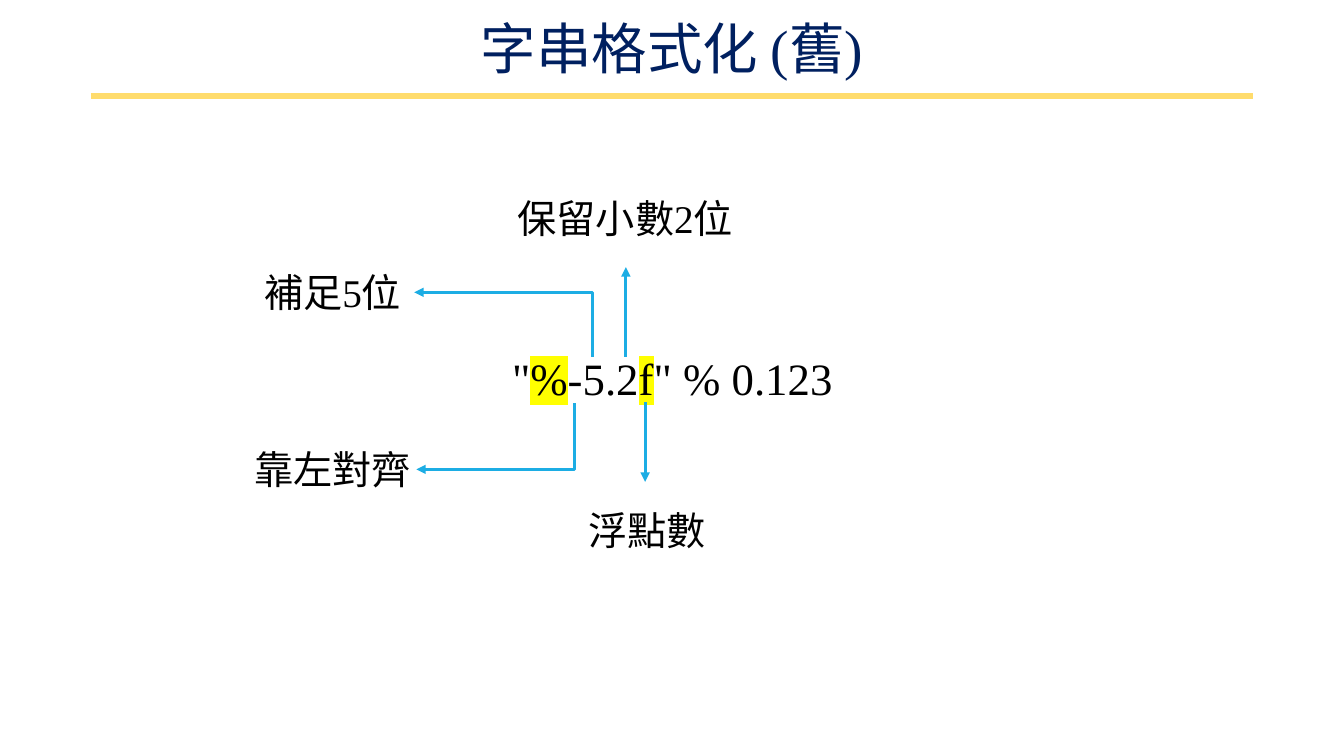
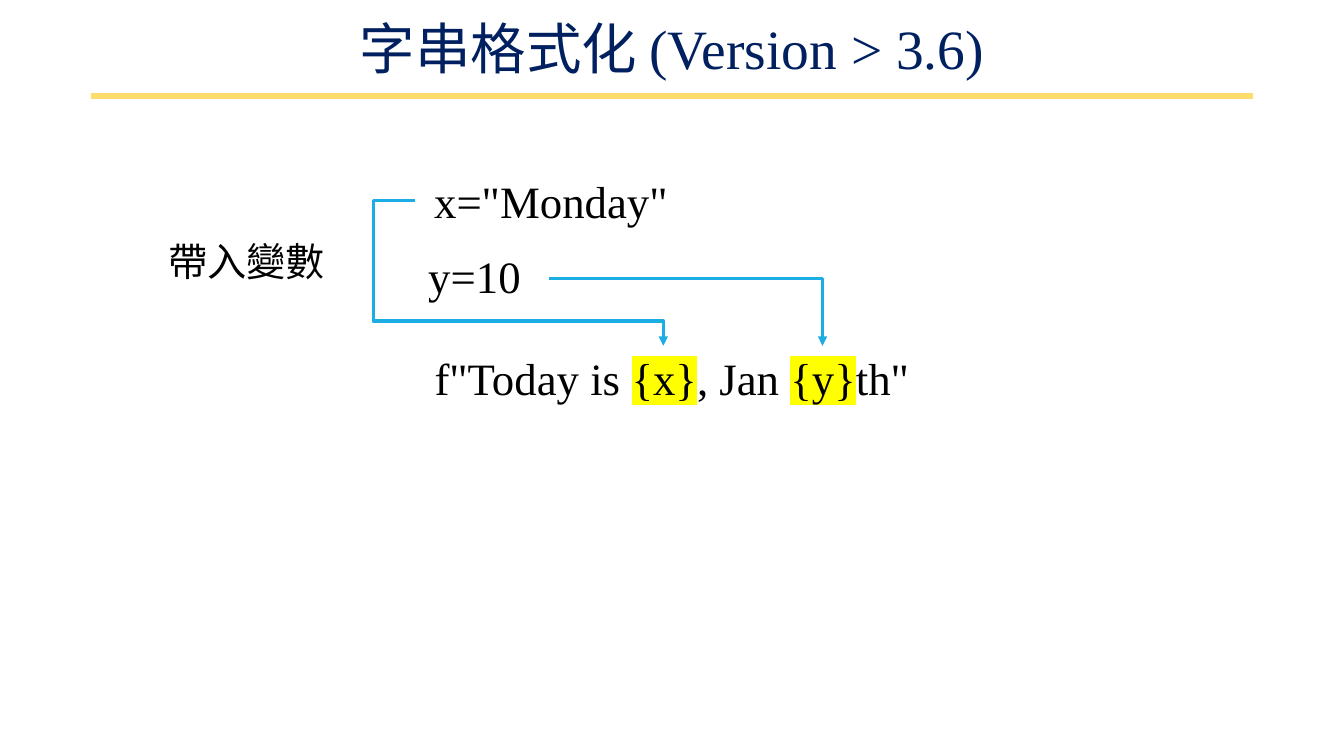
from lxml import etree
from pptx import Presentation
from pptx.dml.color import RGBColor
from pptx.enum.shapes import MSO_CONNECTOR
from pptx.enum.text import MSO_ANCHOR, MSO_AUTO_SIZE, PP_ALIGN
from pptx.oxml.ns import qn
from pptx.util import Pt

STRAIGHT, ELBOW = MSO_CONNECTOR.STRAIGHT, MSO_CONNECTOR.ELBOW
LEFT, CENTER = PP_ALIGN.LEFT, PP_ALIGN.CENTER
MIDDLE = MSO_ANCHOR.MIDDLE
NO_AUTOFIT, GROW = MSO_AUTO_SIZE.NONE, MSO_AUTO_SIZE.SHAPE_TO_FIT_TEXT

FONT = "Times New Roman"
NAVY, GOLD, BLUE, BLACK, YELLOW = "002060", "FFDC6D", "1CADE4", "000000", "FFFF00"
TITLE_SIZE, CODE_SIZE, LABEL_SIZE = 39.6, 32, 28
CODE_HEIGHT, LABEL_HEIGHT = 46, 41
CODE_TOP = 247


def color(value):
    return RGBColor.from_string(value)


class Deck:
    def __init__(self):
        self.presentation = Presentation()
        self.presentation.slide_width = Pt(960)
        self.presentation.slide_height = Pt(540)
        self.slide = None

    def add_slide(self, title):
        layout = self.presentation.slide_layouts[5]
        self.slide = self.presentation.slides.add_slide(layout)
        self.line((65, 68.4), (895, 68.4), GOLD, 4.5)
        shape = self.slide.shapes.title
        shape.left, shape.top, shape.width, shape.height = Pt(66), Pt(13), Pt(828), Pt(47.5)
        frame = shape.text_frame
        frame.text = title
        frame.auto_size = NO_AUTOFIT
        frame.vertical_anchor = MIDDLE
        paragraph = frame.paragraphs[0]
        paragraph.line_spacing = 0.9
        self.style(paragraph, TITLE_SIZE, NAVY, CENTER)

    def style(self, paragraph, size, text_color, alignment):
        paragraph.alignment = alignment
        paragraph.font.name = FONT
        paragraph.font.size = Pt(size)
        paragraph.font.color.rgb = color(text_color)

    def text(self, parts, left, top, width, height, size, alignment, marked=()):
        shape = self.slide.shapes.add_textbox(Pt(left), Pt(top), Pt(width), Pt(height))
        frame = shape.text_frame
        frame.word_wrap = True
        frame.auto_size = GROW
        paragraph = frame.paragraphs[0]
        self.style(paragraph, size, BLACK, alignment)
        for part in parts:
            run = paragraph.add_run()
            run.text = part
            if part in marked:
                properties = run._r.get_or_add_rPr()
                highlight = etree.SubElement(properties, qn("a:highlight"))
                etree.SubElement(highlight, qn("a:srgbClr"), val=YELLOW)

    def code(self, parts, left, top, width, alignment=LEFT, marked=()):
        self.text(parts, left, top, width, CODE_HEIGHT, CODE_SIZE, alignment, marked)

    def label(self, words, left, top, width=158.4):
        self.text([words], left, top, width, LABEL_HEIGHT, LABEL_SIZE, CENTER)

    def line(self, start, end, line_color=BLUE, width=2.25, arrow=None, kind=STRAIGHT):
        connector = self.slide.shapes.add_connector(kind, *map(Pt, start + end))
        connector.line.color.rgb = color(line_color)
        connector.line.width = Pt(width)
        if arrow:
            etree.SubElement(connector.line._ln, qn(f"a:{arrow}End"), type="triangle")
        etree.SubElement(connector._element.spPr, qn("a:effectLst"))
        return connector

    def arrow(self, start, end):
        self.line(start, end, arrow="tail")

    def bent_arrow(self, start, end, arrow="tail", bends=()):
        connector = self.line(start, end, arrow=arrow, kind=ELBOW)
        geometry = connector._element.spPr.find(qn("a:prstGeom"))
        geometry.set("prst", f"bentConnector{len(bends) + 2}")
        adjustments = geometry.find(qn("a:avLst"))
        for number, bend in enumerate(bends, 1):
            etree.SubElement(adjustments, qn("a:gd"), name=f"adj{number}",
                             fmla=f"val {round(bend * 100000)}")


def add_percent_format(deck):
    deck.add_slide("字串格式化 (舊)")
    deck.code(['"', "%", "-5.2", "f", '" % 0.123'], 165.6, CODE_TOP, 629.3, CENTER, ("%", "f"))
    deck.arrow((460.8, 287.3), (460.8, 344.2))
    deck.label("浮點數", 383, 357.8)
    deck.arrow((447.1, 254.9), (447.1, 190.8))
    deck.label("保留小數2位", 275, 135.4, 343.4)
    deck.bent_arrow((295.9, 208.8), (423.4, 254.9), "head")
    deck.label("補足5位", 158.4, 188)
    deck.bent_arrow((297.4, 335.3), (410.4, 288), "head")
    deck.label("靠左對齊", 158.4, 314.6)


def add_f_string(deck):
    deck.add_slide("字串格式化 (Version > 3.6)")
    deck.code(['f"Today is ', "{x}", ", Jan ", "{y}", 'th"'],
              194.4, CODE_TOP, 571, CENTER, ("{x}", "{y}"))
    deck.code(['x="Monday"'], 303, 120.2, 186.5)
    deck.bent_arrow((296.6, 143.3), (473.8, CODE_TOP), bends=(-0.17, 0.83))
    deck.label("帶入變數", 91.4, 166.3, 169.2)
    deck.code(["y=10"], 298.8, 174.2, 186.5)
    deck.bent_arrow((392.4, 198.7), (587.5, CODE_TOP))


def main():
    deck = Deck()
    add_percent_format(deck)
    add_f_string(deck)
    deck.presentation.save("out.pptx")


if __name__ == "__main__":
    main()
